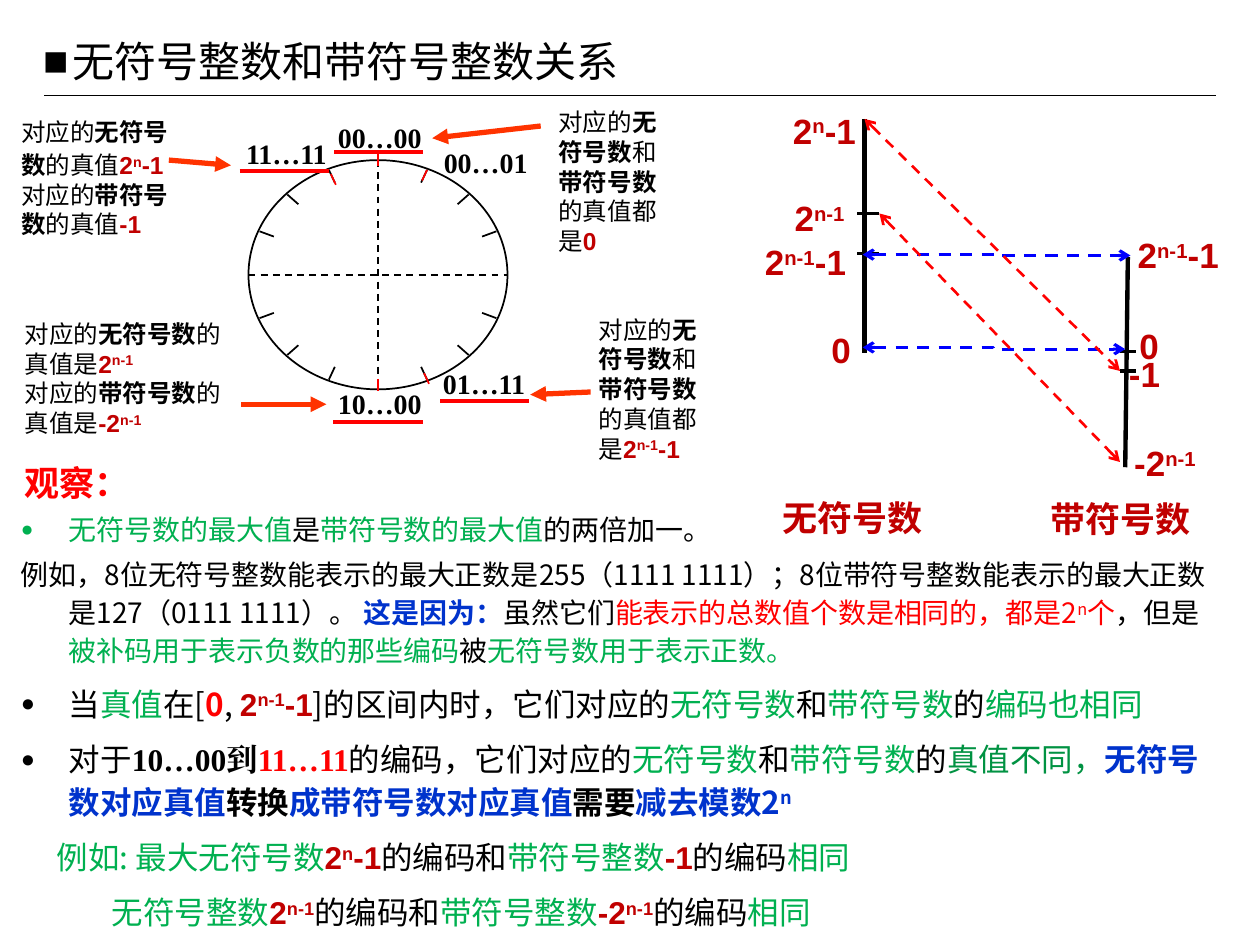
import math

import pptx
import pptx.dml.color
import pptx.enum.dml
import pptx.enum.shapes
import pptx.oxml
import pptx.oxml.ns
import pptx.util
from pptx.util import Pt

CJK, SANS, SERIF = "Noto Sans CJK SC", "Arial", "Times New Roman"
STYLES = {  # font, colour, bold
    "plain": (CJK, "000000", False), "strong": (CJK, "000000", True),
    "green": (CJK, "00B050", False), "deep": (CJK, "009242", False),
    "red": (CJK, "FF0000", False), "redstrong": (CJK, "FF0000", True),
    "blue": (CJK, "0033CC", True), "label": (CJK, "C00000", True),
    "value": (SANS, "C00000", True),
    "code": (SERIF, "000000", True), "redcode": (SERIF, "FF0000", True),
}


def color(value):
    return pptx.dml.color.RGBColor.from_string(value)


def add_xml(parent, tag, **attributes):
    child = pptx.oxml.ns.qn(tag)
    element = parent.makeelement(child, attributes)
    parent.append(element)
    return element


def set_all(target, values):
    for name, value in values.items():
        setattr(target, name, value)


def write_para(para, spans, size, line=None, before=0, margin=0, indent=0, bullet=None):
    """Write (style, text) spans; text between carets is superscript."""
    set_all(para, {"line_spacing": Pt(line) if line else 1.0,
                   "space_before": Pt(before), "space_after": Pt(0),
                   "alignment": pptx.enum.text.PP_ALIGN.LEFT})
    props = para._p.get_or_add_pPr()
    props.set("marL", str(Pt(margin)))
    props.set("indent", str(Pt(indent)))
    if bullet:
        char, shade, percent = bullet
        add_xml(add_xml(props, "a:buClr"), "a:srgbClr", val=shade)
        add_xml(props, "a:buSzPct", val=str(percent * 1000))
        add_xml(props, "a:buFont", typeface=SANS)
        add_xml(props, "a:buChar", char=char)
    else:
        add_xml(props, "a:buNone")
    for style, text in spans:
        face, shade, bold = STYLES[style]
        for place, part in enumerate(text.split("^")):
            if not part:
                continue
            span = para.add_run()
            span.text = part
            span.font.color.rgb = color(shade)
            set_all(span.font, {"name": face, "size": Pt(size), "bold": bold})
            props = span._r.get_or_add_rPr()
            add_xml(props, "a:ea", typeface=face)
            if place % 2:
                props.set("baseline", "30000")


def format_frame(frame, inset=(7.2, 3.6)):
    across, down = (Pt(value) for value in inset)
    set_all(frame, {"word_wrap": True, "margin_left": across, "margin_right": across,
                    "margin_top": down, "margin_bottom": down,
                    "auto_size": pptx.enum.text.MSO_AUTO_SIZE.NONE,
                    "vertical_anchor": pptx.enum.text.MSO_ANCHOR.TOP})


def add_text(page, box, paras, inset=(7.2, 3.6)):
    """Add a text box; each para is (spans, format values)."""
    frame = page.shapes.add_textbox(*map(Pt, box)).text_frame
    format_frame(frame, inset)
    for index, (spans, form) in enumerate(paras):
        para = frame.add_paragraph() if index else frame.paragraphs[0]
        write_para(para, spans, **form)


def add_line(page, start, end, shade="000000", width=1, dash=False,
             head=None, tail=None, kind="STRAIGHT"):
    kind = getattr(pptx.enum.shapes.MSO_CONNECTOR, kind)
    line = page.shapes.add_connector(kind, *map(Pt, (*start, *end)))
    line.line.color.rgb = color(shade)
    line.line.width = Pt(width)
    if dash:
        line.line.dash_style = pptx.enum.dml.MSO_LINE.DASH
    outline = line.line._get_or_add_ln()
    for tag, arrow in (("a:headEnd", head), ("a:tailEnd", tail)):
        if arrow:
            add_xml(outline, tag, type=arrow)
    add_xml(line._element.spPr, "a:effectLst")


def add_title(page, box):
    left, top, width, height = box
    title = page.shapes.title
    set_all(title, dict(zip(("left", "top", "width", "height"), map(Pt, box))))
    format_frame(title.text_frame)
    write_para(title.text_frame.paragraphs[0], [("plain", "无符号整数和带符号整数关系")],
               24, line=36, margin=16.5, indent=-16.5, bullet=("■", "000000", 100))
    rule = top + height
    add_line(page, (25.2, rule), (694.8, rule), width=0.75)


def add_ring(page, box):
    """Draw the code circle with its ticks, code labels and underlines."""
    left, top, width, height = box
    middle, centre = left + width / 2, top + height / 2
    ring = page.shapes.add_shape(pptx.enum.shapes.MSO_SHAPE.OVAL, *map(Pt, box))
    ring.shadow.inherit = False
    ring.fill.background()
    ring.line.color.rgb = color("000000")
    ring.line.width = Pt(1)
    add_line(page, (left, centre), (left + width, centre), dash=True)
    add_line(page, (middle, top), (middle, top + height), dash=True)

    def add_tick(angle, inner, outer, shade):
        turn = math.radians(angle)
        ends = [(middle + reach * width / 2 * math.cos(turn),
                 centre - reach * height / 2 * math.sin(turn)) for reach in (inner, outer)]
        add_line(page, *ends, shade=shade)

    for step in range(16):
        if step % 4:
            add_tick(step * 22.5, 0.87, 0.99, "000000")
    for angle, inner in ((90, 0.95), (67.5, 0.89), (112.5, 0.85), (270, 0.91), (292.5, 0.93)):
        add_tick(angle, inner, inner + 0.1, "FF0000")
    for code, x, y, underline in (
            ("00…00", 44, -26, (49, -4.5)), ("00…01", 104.5, -12, None),
            ("11…11", -8.5, -17, (-5, 6)), ("10…00", 44, 126, (48.5, 149.5)),
            ("01…11", 104, 114.5, (109.5, 137.5))):
        add_text(page, (left + x, top + y, 70, 26.5), [([("code", code)], {"size": 16})])
        if underline:
            start, level = left + underline[0], top + underline[1]
            add_line(page, (start, level), (start + 51, level), "FF0000", 2.25)


def add_callout(page, box, paras, arrow):
    """Place a note; the arrow runs between two points relative to the box."""
    left, top = box[:2]
    add_text(page, box, [(spans, {"size": 14, "line": line}) for spans, line in paras])
    start, end = [(left + x, top + y) for x, y in arrow]
    add_line(page, start, end, "FF3300", 3, tail="triangle")


def note(kind, verb, value):
    return [("plain", "对应的"), ("strong", kind), ("plain", verb), ("value", value)]


def both(value):
    return [("plain", "对应的"), ("strong", "无符号数"), ("plain", "和"),
            ("strong", "带符号数"), ("plain", "的真值都是"), ("value", value)]


def add_callouts(page):
    unsigned, signed = "无符号数", "带符号数"
    add_callout(page, (5, 61, 106.5, 80),
                [(note(unsigned, "的真值", "2^n^-1"), 19), (note(signed, "的真值", "-1"), 17)],
                ((91.5, 30.5), (127, 33.5)))
    add_callout(page, (7, 178.5, 127, 75),
                [(note(unsigned, "的真值是", "2^n-1^"), 17),
                 (note(signed, "的真值是", "-2^n-1^"), 17)],
                ((131, 52.5), (179.5, 52.5)))
    add_callout(page, (312, 57.5, 84, 91.5), [(both("0"), 17)], ((-3, 14.5), (-65, 21.5)))
    add_callout(page, (335, 176, 78, 91.5), [(both("2^n-1^-1"), 17)], ((2.5, 48), (-32, 49.5)))


def add_axes(page, box):
    """Draw the unsigned and signed number lines and the links between them."""
    left, top = box[:2]

    def join(x1, y1, x2, y2, **form):
        add_line(page, (left + x1, top + y1), (left + x2, top + y2), **form)

    join(64, 8, 64, 142, width=2.5)
    join(214.5, 87, 213, 207, width=2.5)
    for x, y, length in ((60, 62, 12.5), (60, 85, 12.5), (210, 141, 9), (210, 152, 9)):
        join(x, y, x + length, y, width=2)
    for x, y, text in ((16, -1, "2^n^-1"), (17, 49, "2^n-1^"), (0, 74, "2^n-1^-1"),
                       (38, 124, "0"), (213, 70, "2^n-1^-1"), (214, 122, "0"),
                       (208, 138, "-1"), (211, 189, "-2^n-1^")):
        add_text(page, (left + x, top + y, 77, 31.5), [([("value", text)], {"size": 20})])
    for x, y, text in ((10, 220, "无符号数"), (163, 221, "带符号数")):
        add_text(page, (left + x, top + y, 97, 31.5),
                 [([("label", text)], {"size": 20, "line": 24})])
    arrows = {"dash": True, "head": "arrow", "tail": "arrow"}
    for ends in ((63, 85.5, 216, 86), (63, 138.5, 213, 139.5)):
        join(*ends, shade="0000FF", width=1.75, kind="ELBOW", **arrows)
    for ends in ((64, 8, 210, 152), (72.5, 62, 210, 204)):
        join(*ends, shade="FF0000", width=1.5, **arrows)


def add_observations(page, box):
    left, top, width, height = box
    add_text(page, (left, top, 90, 31.5),
             [([("redstrong", "观察：")], {"size": 20, "line": 24})])
    hanging = {"margin": 27.4, "indent": -27.4}
    small = {"size": 16, "line": 22, **hanging}
    large = {"size": 18, "line": 24.5, "before": 7}
    point = {**large, **hanging, "bullet": ("●", "000000", 75)}
    kinds = [("green", "无符号数"), ("plain", "和"), ("green", "带符号数"), ("plain", "的")]
    paras = [
        ([("green", "无符号数的最大值"), ("plain", "是"), ("green", "带符号数的最大值"),
          ("plain", "的两倍加一。")], {**small, "bullet": ("●", "00B050", 75)}),
        ([("plain", "例如，8位无符号整数能表示的最大正数是255（1111 1111）；"
                    "8位带符号整数能表示的最大正数是127（0111 1111）。"),
          ("blue", " 这是因为："), ("plain", "虽然它们"),
          ("red", "能表示的总数值个数是相同的，都是2^n^个"), ("plain", "，但是"),
          ("green", "被补码用于表示负数的那些编码"), ("plain", "被"),
          ("green", "无符号数用于表示正数。")], {**small, "before": 3.5}),
        ([("plain", "当"), ("green", "真值"), ("plain", "在["), ("redstrong", "0"),
          ("plain", ", "), ("value", "2^n-1^-1"), ("plain", "]的区间内时，它们对应的"),
          *kinds, ("green", "编码也相同")], point),
        ([("plain", "对于"), ("code", "10…00到"), ("redcode", "11…11"),
          ("plain", "的编码，它们对应的"), *kinds, ("deep", "真值不同，"),
          ("blue", "无符号数对应真值"), ("strong", "转换"), ("blue", "成带符号数对应真值"),
          ("strong", "需要"), ("blue", "减去模数2^n^")], point),
    ]
    for lead, first, second, margin in (("例如: 最大无符号数", "2^n^-1", "-1", 20.5),
                                        ("无符号整数", "2^n-1^", "-2^n-1^", 52)):
        paras.append(([("green", lead), ("value", first), ("plain", "的编码和"),
                       ("green", "带符号整数"), ("value", second), ("plain", "的编码"),
                       ("green", "相同")], {**large, "margin": margin}))
    add_text(page, (left, top + 28, width, height - 28), paras, inset=(5, 2))


def main():
    deck = pptx.Presentation()
    deck.slide_width, deck.slide_height = Pt(720), Pt(540)
    page = deck.slides.add_slide(deck.slide_layouts[5])
    add_title(page, (17.5, 9.5, 345, 45))
    add_observations(page, (7, 260, 690, 278))
    add_ring(page, (142, 91.5, 148, 131))
    add_callouts(page)
    add_axes(page, (430, 60, 290, 255))
    deck.save("out.pptx")


if __name__ == "__main__":
    main()
